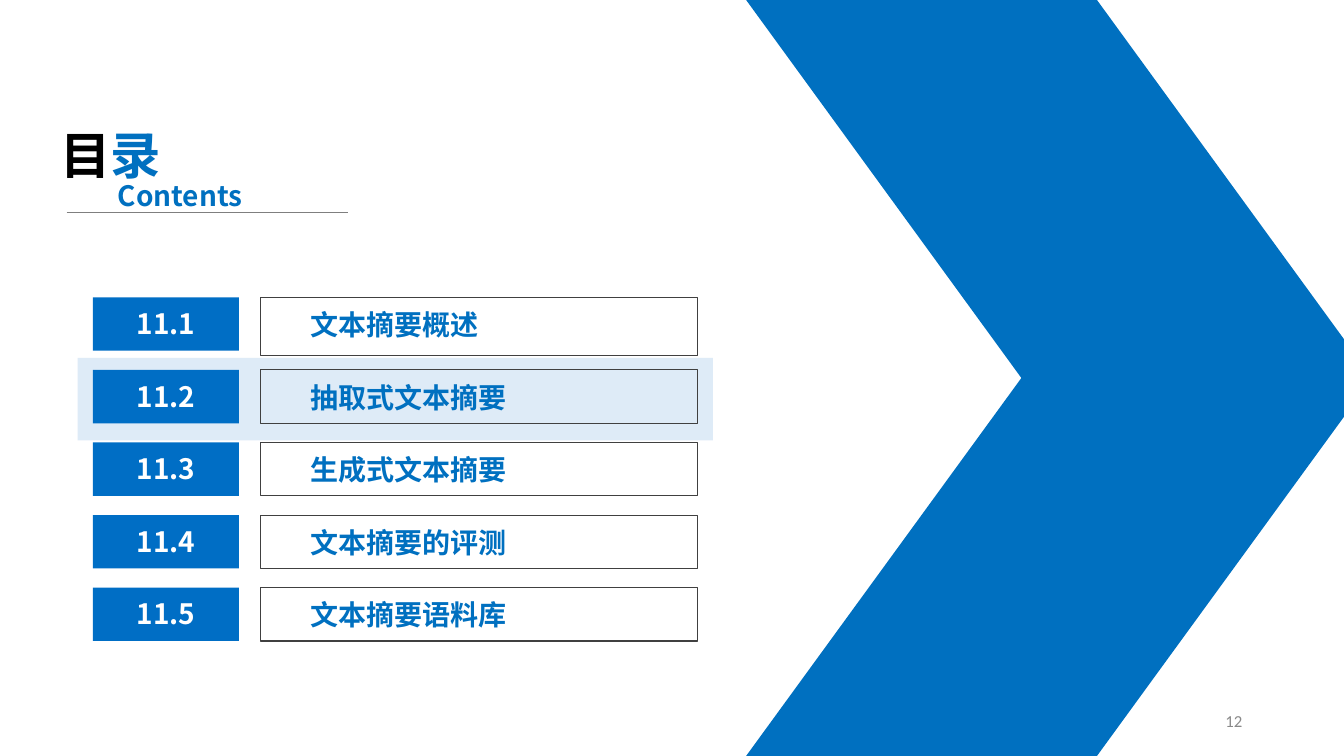
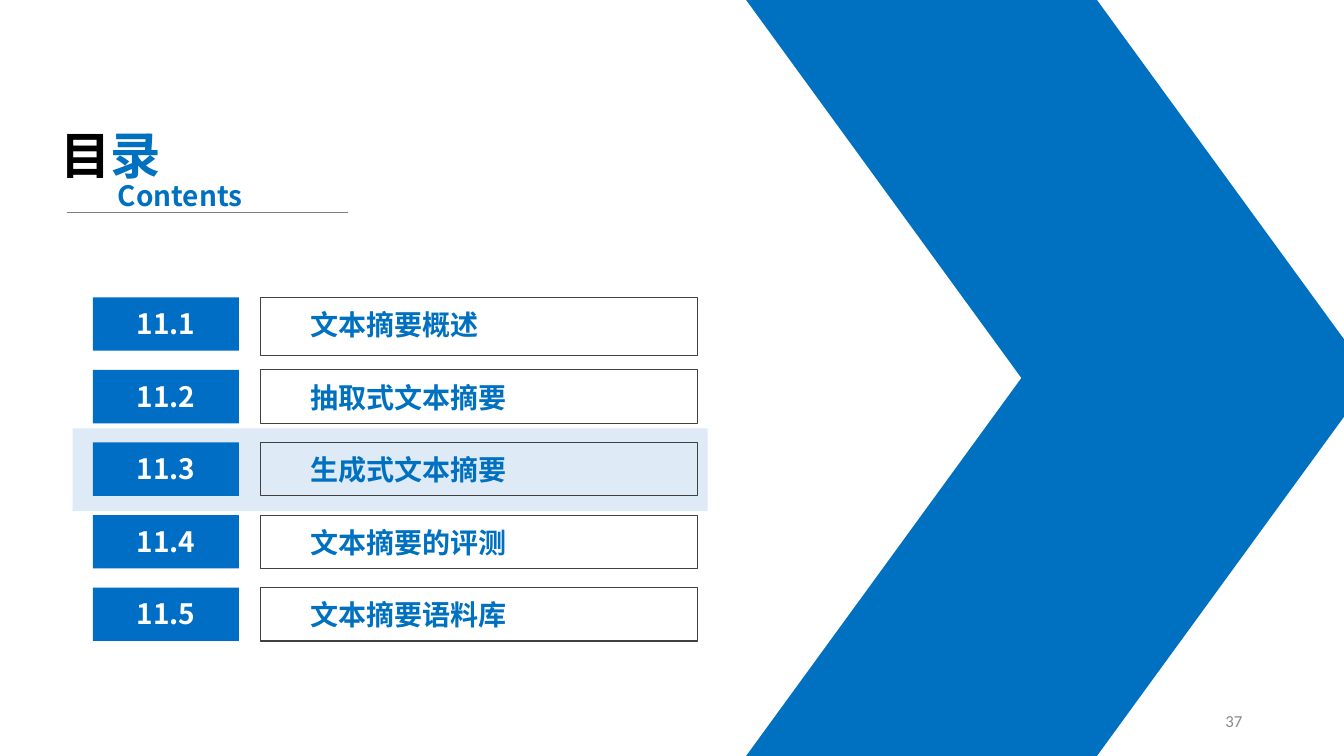
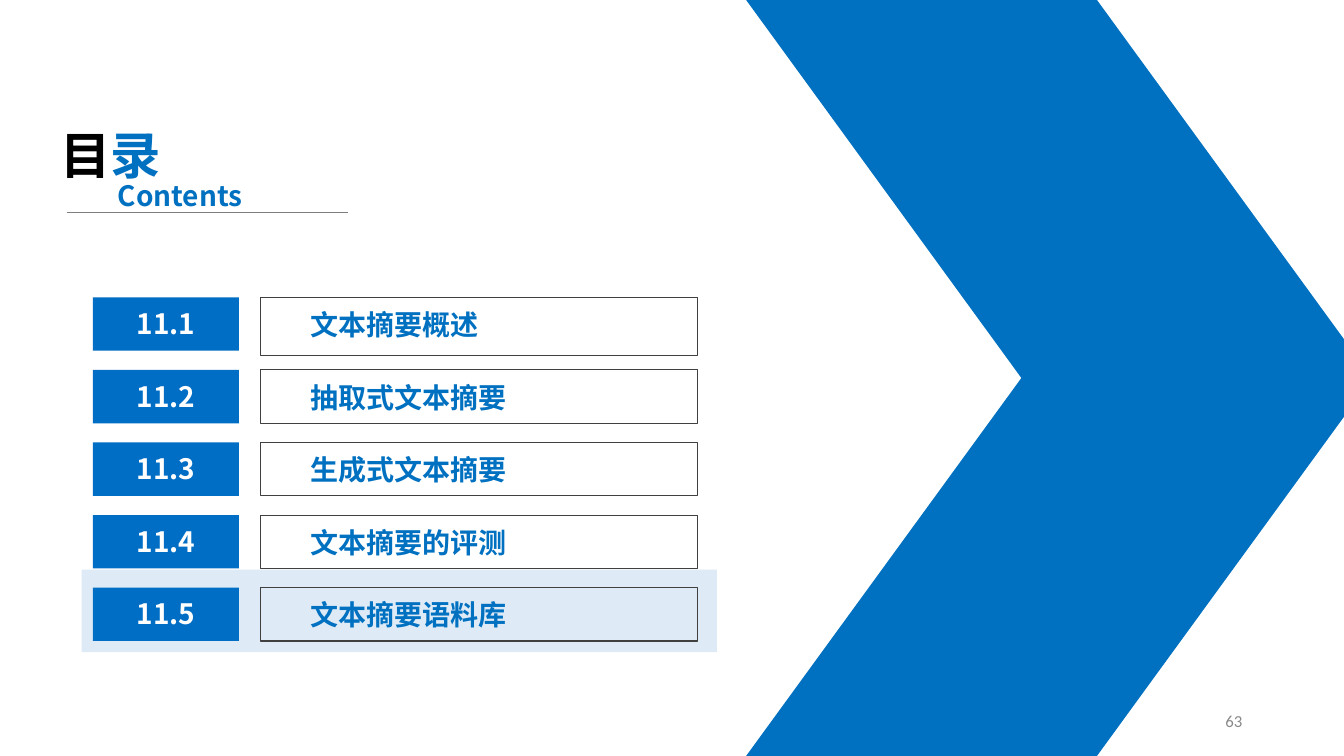
"""Builds the three contents slides of a chapter, each marking one section."""
from dataclasses import dataclass

from lxml import etree
from pptx import Presentation
from pptx.dml.color import RGBColor
from pptx.enum.shapes import MSO_CONNECTOR, MSO_SHAPE
from pptx.enum.text import MSO_ANCHOR, PP_ALIGN
from pptx.oxml.ns import qn
from pptx.util import Inches, Pt

RECTANGLE, PARALLELOGRAM = MSO_SHAPE.RECTANGLE, MSO_SHAPE.PARALLELOGRAM
STRAIGHT = MSO_CONNECTOR.STRAIGHT
LEFT, CENTER, RIGHT = PP_ALIGN.LEFT, PP_ALIGN.CENTER, PP_ALIGN.RIGHT
TOP, MIDDLE = MSO_ANCHOR.TOP, MSO_ANCHOR.MIDDLE


@dataclass(frozen=True)
class Theme:
    """Colours, fonts and type sizes shared by the slides."""
    blue: str = "0070C0"
    number_blue: str = "006EC5"
    highlight: str = "DEEBF7"
    outline: str = "404040"
    rule: str = "7F7F7F"
    page_grey: str = "898989"
    black: str = "000000"
    white: str = "FFFFFF"
    font: str = "Noto Sans CJK SC"
    page_font: str = "Calibri"
    heading_size: int = 36
    entry_size: int = 20
    page_size: int = 12


THEME = Theme()
SLIDE_W, SLIDE_H = 13.33, 7.5
NUMBER_X, NUMBER_W = 0.92, 1.45
TITLE_X, TITLE_W = 2.58, 4.34
ROW_TOP, ROW_PITCH, ROW_H, FIRST_TITLE_H = 2.95, 0.72, 0.53, 0.58
BAND_TOP, BAND_PITCH, BAND_W, BAND_H = 2.85, 0.7, 6.3, 0.82
ARROW_X, ARROW_W, ARROW_SLANT = 7.4, 6.21, 0.728

SECTIONS = ["文本摘要概述", "抽取式文本摘要", "生成式文本摘要", "文本摘要的评测", "文本摘要语料库"]
PAGES = [("12", 1, 0.77), ("37", 2, 0.72), ("63", 4, 0.81)]


def rgb(code):
    """Turn a hex code into a colour."""
    return RGBColor.from_string(code)


def inches(*lengths):
    """Turn numbers into lengths in inches."""
    return [Inches(length) for length in lengths]


def write(frame, runs, size, font=THEME.font, bold=True, align=LEFT, anchor=TOP,
          margins=(0.1, 0.05)):
    """Fill a text frame with one paragraph of (text, colour) runs."""
    frame.word_wrap = True
    frame.vertical_anchor = anchor
    side, top = inches(*margins)
    frame.margin_left, frame.margin_top = side, top
    paragraph = frame.paragraphs[0]
    paragraph.alignment = align
    paragraph.font.size, paragraph.font.bold = Pt(size), bold
    paragraph.font.name = font
    properties = paragraph.font._element
    etree.SubElement(properties, qn("a:ea")).set("typeface", font)
    same_colour = len({colour for _, colour in runs}) == 1
    if same_colour:
        paragraph.font.color.rgb = rgb(runs[0][1])
    for text, colour in runs:
        run = paragraph.add_run()
        run.text = text
        if not same_colour:
            run.font.color.rgb = rgb(colour)


def add_label(slide, box, runs, size, **style):
    """Add a free text box."""
    write(slide.shapes.add_textbox(*inches(*box)).text_frame, runs, size, **style)


def add_panel(slide, box, fill=None, line=None, kind=RECTANGLE):
    """Add a flat shape, either filled or outlined."""
    panel = slide.shapes.add_shape(kind, *inches(*box))
    panel.shadow.inherit = False
    if fill:
        panel.fill.solid()
        panel.fill.fore_color.rgb = rgb(fill)
    else:
        panel.fill.background()
    if line:
        panel.line.color.rgb = rgb(line)
        panel.line.width = Pt(0.75)
    else:
        panel.line.fill.background()
    return panel


def add_arrow(slide):
    """Add the large arrow made of two mirrored halves."""
    half = SLIDE_H / 2
    for top, flipped in ((half, False), (0, True)):
        wing = add_panel(slide, (ARROW_X, top, ARROW_W, half), THEME.blue, kind=PARALLELOGRAM)
        wing.adjustments[0] = ARROW_SLANT
        if flipped:
            wing._element.spPr.xfrm.set("flipV", "1")


def add_heading(slide):
    """Add the two-language heading with its rule."""
    add_label(slide, (0.5, 1.18, 1.57, 0.71), [("目", THEME.black), ("录", THEME.blue)],
              THEME.heading_size)
    rule = slide.shapes.add_connector(STRAIGHT, *inches(0.66, 2.11, 3.45, 2.11))
    rule.line.color.rgb = rgb(THEME.rule)
    rule.line.width = Pt(0.5)
    etree.SubElement(rule._element.spPr, qn("a:effectLst"))
    add_label(slide, (1.07, 1.72, 1.57, 0.44), [("Contents", THEME.blue)], THEME.entry_size)


def add_entry(slide, row, section):
    """Add one numbered section of the contents list."""
    top = ROW_TOP + row * ROW_PITCH
    title_h = ROW_H if row else FIRST_TITLE_H
    title = add_panel(slide, (TITLE_X, top, TITLE_W, title_h), line=THEME.outline)
    write(title.text_frame, [(section, THEME.blue)], THEME.entry_size, margins=(0.5, 0.1))
    number = add_panel(slide, (NUMBER_X, top, NUMBER_W, ROW_H), THEME.number_blue)
    write(number.text_frame, [(f"11.{row + 1}", THEME.white)], THEME.entry_size,
          align=CENTER, margins=(0.1, 0.09))


def add_contents_slide(deck, page, current, band_x):
    """Add a contents slide with the current section highlighted."""
    slide = deck.slides.add_slide(deck.slide_layouts[6])
    band_top = BAND_TOP + current * BAND_PITCH
    add_panel(slide, (band_x, band_top, BAND_W, BAND_H), THEME.highlight)
    add_arrow(slide)
    add_heading(slide)
    for row, section in enumerate(SECTIONS):
        add_entry(slide, row, section)
    add_label(slide, (9.42, 6.95, 3, 0.4), [(page, THEME.page_grey)], THEME.page_size,
              font=THEME.page_font, bold=False, align=RIGHT, anchor=MIDDLE)


def main():
    """Build and save the deck."""
    deck = Presentation()
    deck.slide_width, deck.slide_height = inches(SLIDE_W, SLIDE_H)
    for page, current, band_x in PAGES:
        add_contents_slide(deck, page, current, band_x)
    deck.save("out.pptx")


if __name__ == "__main__":
    main()
